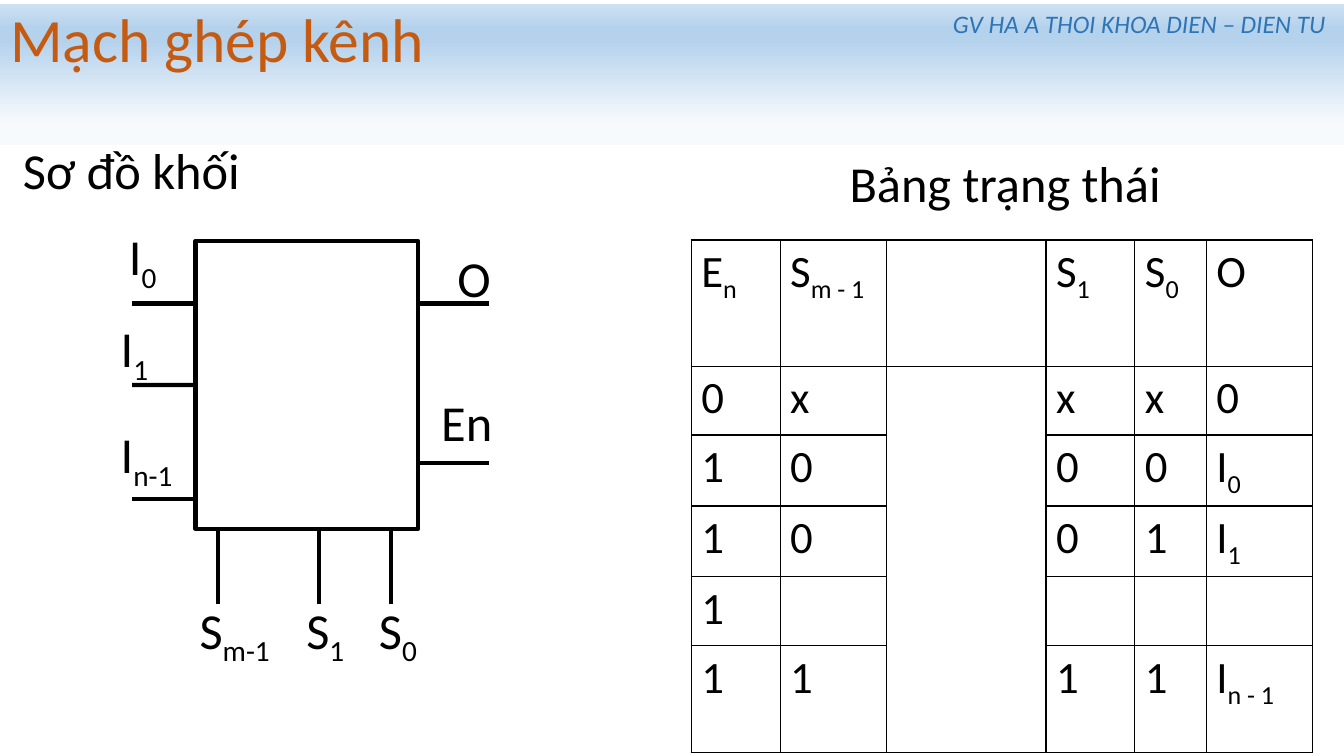
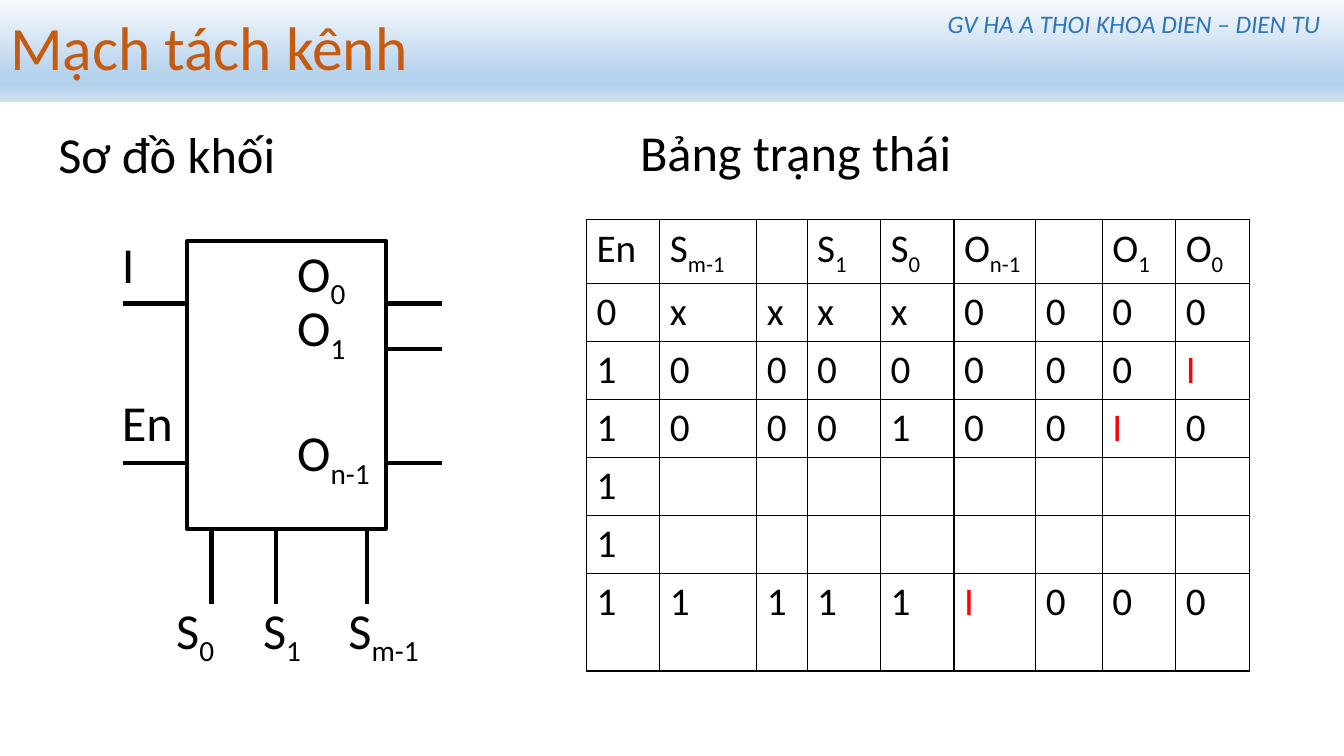
from dataclasses import dataclass

from pptx import Presentation
from pptx.dml.color import RGBColor
from pptx.enum.shapes import MSO_CONNECTOR, MSO_SHAPE
from pptx.enum.text import MSO_ANCHOR, MSO_AUTO_SIZE, PP_ALIGN
from pptx.oxml import parse_xml
from pptx.oxml.ns import nsdecls
from pptx.util import Cm, Pt


@dataclass(frozen=True)
class Theme:
    font: str = "Calibri"
    ink: str = "000000"
    paper: str = "FFFFFF"
    title: str = "C55A11"
    author: str = "2E75B6"
    signal: str = "FF0000"
    band: tuple = ("F7FAFD", "B5D2EC", "B5D2EC", "CEE1F2")
    title_size: int = 44
    label_size: int = 36
    author_size: int = 18
    wire: int = 3
    border: int = 1


THEME = Theme()
AUTHOR = "GV HA A THOI KHOA DIEN – DIEN TU"
LABEL_HEIGHT = 1.8
PIN_LABEL_TOP = 14.96

SLIDES = [
    {
        "title": "Mạch ghép kênh",
        "band": {"top": 0.1, "height": 3.56, "anchor": MSO_ANCHOR.TOP,
                 "angle": 270, "first_stop": 15},
        "author_left": 23.63,
        "headings": [("Bảng trạng thái", 21.16, 3.71, 8.43),
                     ("Sơ đồ khối", 0.33, 3.38, 6.05)],
        "block": (4.93, 6.07, 5.61, 7.26),
        "pins": {
            "left": (1.6, [7.65, 9.7, 12.57]),
            "right": (1.78, [7.65, 11.66]),
            "bottom": (1.88, [5.49, 8.03, 9.86]),
        },
        "labels": [
            ("I_0", 3.0, 5.56, 1.88),
            ("I_1", 2.79, 7.87, 1.78),
            ("I_n-1", 2.79, 10.54, 2.49),
            ("O", 11.28, 6.1, 2.44),
            ("En", 10.87, 9.73, 2.44),
            ("S_m-1", 4.78, PIN_LABEL_TOP, 2.87),
            ("S_1", 7.47, PIN_LABEL_TOP, 2.57),
            ("S_0", 9.3, PIN_LABEL_TOP, 2.57),
        ],
        "table": {
            "left": 17.42, "top": 6.05, "size": 32,
            "columns": [2.24, 2.69, 4.01, 2.24, 1.8, 2.67],
            "heights": [3.18, 1.73, 1.73, 1.73, 1.73, 2.69],
            "merge": ((1, 2), (5, 2)),
            "rows": [
                ("E_n", "S_m - 1", "", "S_1", "S_0", "O"),
                ("0", "x", "", "x", "x", "0"),
                ("1", "0", "", "0", "0", "I_0"),
                ("1", "0", "", "0", "1", "I_1"),
                ("1", "", "", "", "", ""),
                ("1", "1", "", "1", "1", "I_n - 1"),
            ],
        },
    },
    {
        "title": "Mạch tách kênh",
        "band": {"top": 0, "height": 2.57, "anchor": MSO_ANCHOR.MIDDLE,
                 "angle": 90, "first_stop": 0},
        "author_left": 23.5,
        "headings": [("Bảng trạng thái", 15.88, 2.92, 8.43),
                     ("Sơ đồ khối", 1.22, 2.97, 6.05)],
        "block": (4.72, 6.07, 5.0, 7.26),
        "pins": {
            "left": (1.62, [7.65, 11.66]),
            "right": (1.42, [7.65, 8.79, 11.66]),
            "bottom": (1.88, [5.33, 6.96, 9.25]),
        },
        "labels": [
            ("I", 2.82, 5.74, 2.18),
            ("En", 2.82, 9.73, 2.18),
            ("O_0", 7.24, 5.97, 3.15),
            ("O_1", 7.24, 7.34, 3.15),
            ("O_n-1", 7.24, 10.49, 3.15),
            ("S_0", 4.19, PIN_LABEL_TOP, 2.29),
            ("S_1", 6.38, PIN_LABEL_TOP, 2.29),
            ("S_m-1", 8.53, PIN_LABEL_TOP, 2.57),
        ],
        "table": {
            "left": 14.78, "top": 5.54, "size": 28,
            "columns": [1.85, 2.44, 1.27, 1.85, 1.85, 2.06, 1.68, 1.85, 1.85],
            "heights": [1.52, 1.35, 1.35, 1.35, 1.35, 1.35, 2.46],
            "merge": None,
            "rows": [
                ("En", "S_m-1", "", "S_1", "S_0", "O_n-1", "", "O_1", "O_0"),
                ("0", "x", "x", "x", "x", "0", "0", "0", "0"),
                ("1", "0", "0", "0", "0", "0", "0", "0", "I"),
                ("1", "0", "0", "0", "1", "0", "0", "I", "0"),
                ("1", "", "", "", "", "", "", "", ""),
                ("1", "", "", "", "", "", "", "", ""),
                ("1", "1", "1", "1", "1", "I", "0", "0", "0"),
            ],
        },
    },
]


def apply(target, values):
    for name, value in values.items():
        setattr(target, name, value)


def write(paragraph, text, size, color=THEME.ink, italic=False):
    for index, part in enumerate(text.split("_")):
        run = paragraph.add_run()
        run.text = part
        apply(run.font, {"name": THEME.font, "size": Pt(size), "bold": False, "italic": italic})
        run.font.color.rgb = RGBColor.from_string(color)
        if index:
            run._r.get_or_add_rPr().set("baseline", "-25000")


def add_title(slide, text, band):
    title = slide.shapes.title
    apply(title, {"left": 0, "top": Cm(band["top"]),
                  "width": Cm(33.87), "height": Cm(band["height"])})
    positions = (band["first_stop"], 74, 83, 100)
    stops = "".join(
        f'<a:gs pos="{position * 1000}"><a:srgbClr val="{color}"/></a:gs>'
        for position, color in zip(positions, THEME.band))
    title._element.spPr.append(parse_xml(
        f'<a:gradFill rotWithShape="1" {nsdecls("a")}><a:gsLst>{stops}</a:gsLst>'
        f'<a:lin ang="{band["angle"] * 60000}" scaled="0"/></a:gradFill>'))
    apply(title.text_frame, {"word_wrap": True, "auto_size": MSO_AUTO_SIZE.NONE,
                             "vertical_anchor": band["anchor"]})
    paragraph = title.text_frame.paragraphs[0]
    apply(paragraph, {"alignment": PP_ALIGN.LEFT, "line_spacing": 0.9, "space_before": Pt(0)})
    write(paragraph, text, THEME.title_size, THEME.title)


def add_label(slide, text, left, top, width, height=LABEL_HEIGHT, wrap=True,
              align=PP_ALIGN.LEFT, size=THEME.label_size, **style):
    box = slide.shapes.add_textbox(Cm(left), Cm(top), Cm(width), Cm(height))
    apply(box.text_frame, {"word_wrap": wrap, "auto_size": MSO_AUTO_SIZE.SHAPE_TO_FIT_TEXT})
    paragraph = box.text_frame.paragraphs[0]
    paragraph.alignment = align
    write(paragraph, text, size, **style)


def format_line(line):
    line.color.rgb = RGBColor.from_string(THEME.ink)
    line.width = Pt(THEME.wire)


def add_block(slide, block, pins):
    left, top, width, height = block
    right, bottom = left + width, top + height
    rectangle = slide.shapes.add_shape(MSO_SHAPE.RECTANGLE, *map(Cm, block))
    rectangle.shadow.inherit = False
    rectangle.fill.background()
    format_line(rectangle.line)
    sides = {
        "left": (1, top + height / 2, lambda at, length: (left, at, left - length, at)),
        "right": (3, top + height / 2, lambda at, length: (right, at, right + length, at)),
        "bottom": (2, left + width / 2, lambda at, length: (at, bottom, at, bottom + length)),
    }
    for side, (length, places) in pins.items():
        site, middle, ends = sides[side]
        for place in places:
            pin = slide.shapes.add_connector(
                MSO_CONNECTOR.STRAIGHT, *map(Cm, ends(place, length)))
            if abs(place - middle) < 0.02:
                pin.begin_connect(rectangle, site)
            format_line(pin.line)
            pin._element.spPr.append(parse_xml(f'<a:effectLst {nsdecls("a")}/>'))


def format_cell(cell):
    cell.fill.solid()
    cell.fill.fore_color.rgb = RGBColor.from_string(THEME.paper)
    properties = cell._tc.get_or_add_tcPr()
    for index, edge in enumerate(("lnL", "lnR", "lnT", "lnB")):
        properties.insert(index, parse_xml(
            f'<a:{edge} w="{Pt(THEME.border)}" {nsdecls("a")}><a:solidFill>'
            f'<a:srgbClr val="{THEME.ink}"/></a:solidFill></a:{edge}>'))


def add_state_table(slide, data):
    columns, heights, rows = data["columns"], data["heights"], data["rows"]
    table = slide.shapes.add_table(
        len(rows), len(columns), Cm(data["left"]), Cm(data["top"]),
        Cm(sum(columns)), Cm(sum(heights))).table
    apply(table, {"first_row": False, "horz_banding": False})
    for column, width in zip(table.columns, columns):
        column.width = Cm(width)
    for row, height, texts in zip(table.rows, heights, rows):
        row.height = Cm(height)
        for cell, text in zip(row.cells, texts):
            format_cell(cell)
            if text:
                color = THEME.signal if text == "I" else THEME.ink
                write(cell.text_frame.paragraphs[0], text, data["size"], color)
    if data["merge"]:
        first, last = data["merge"]
        table.cell(*first).merge(table.cell(*last))


def main():
    presentation = Presentation()
    apply(presentation, {"slide_width": Cm(33.87), "slide_height": Cm(19.05)})
    for content in SLIDES:
        slide = presentation.slides.add_slide(presentation.slide_layouts[5])
        add_title(slide, content["title"], content["band"])
        add_state_table(slide, content["table"])
        for heading in content["headings"]:
            add_label(slide, *heading, wrap=False)
        add_label(slide, AUTHOR, content["author_left"], 0.08, 10.16, 1.02, wrap=False,
                  align=PP_ALIGN.CENTER, size=THEME.author_size,
                  color=THEME.author, italic=True)
        add_block(slide, content["block"], content["pins"])
        for label in content["labels"]:
            add_label(slide, *label)
    presentation.save("out.pptx")


if __name__ == "__main__":
    main()
